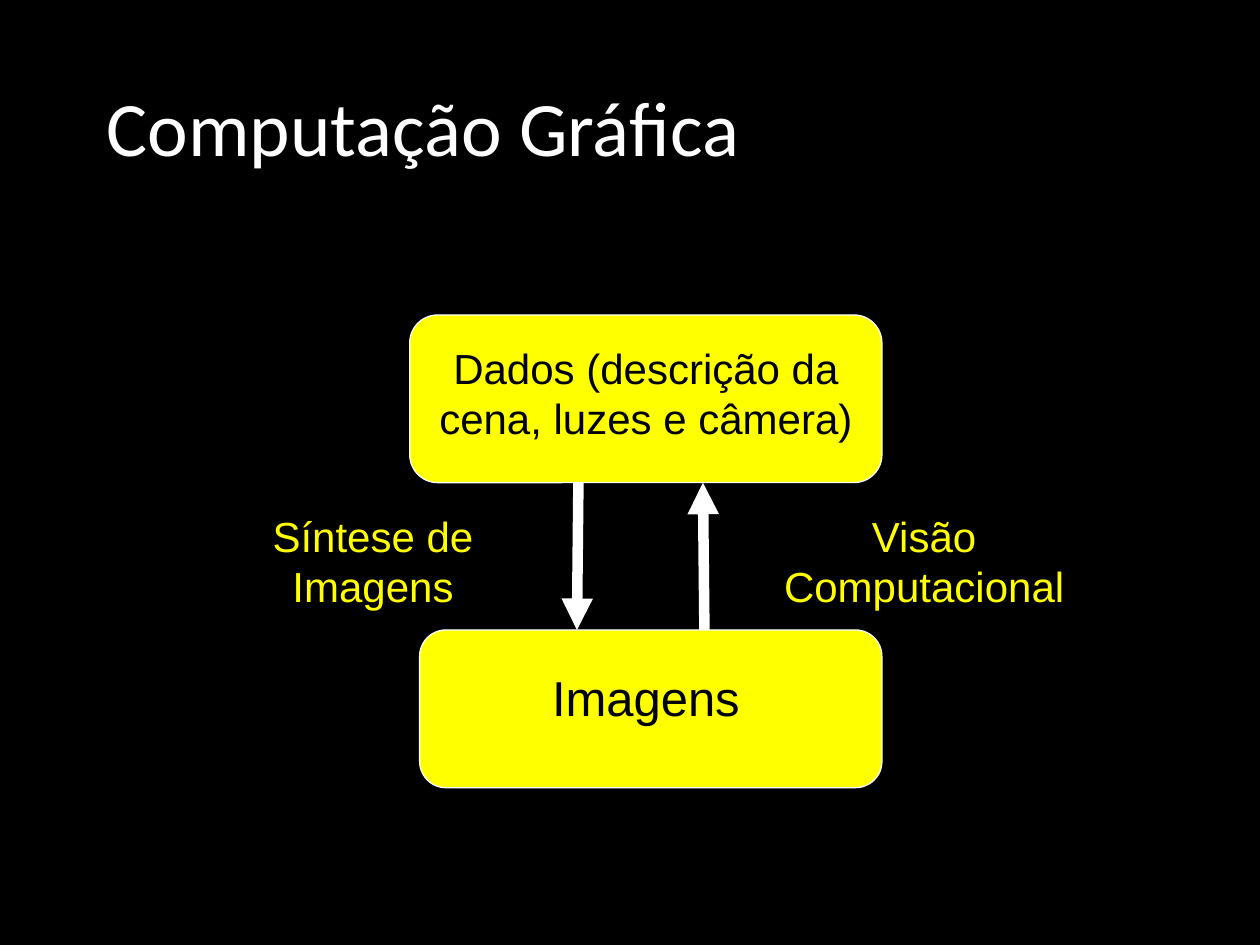
from dataclasses import dataclass

from lxml import etree
from pptx import Presentation
from pptx.dml.color import RGBColor
from pptx.enum.shapes import MSO_CONNECTOR, MSO_SHAPE
from pptx.enum.text import MSO_ANCHOR, PP_ALIGN
from pptx.oxml.ns import qn
from pptx.util import Cm, Pt

ROUNDED = MSO_SHAPE.ROUNDED_RECTANGLE
STRAIGHT = MSO_CONNECTOR.STRAIGHT
LEFT, CENTER = PP_ALIGN.LEFT, PP_ALIGN.CENTER
TOP, MIDDLE = MSO_ANCHOR.TOP, MSO_ANCHOR.MIDDLE


@dataclass(frozen=True)
class Theme:
    black: RGBColor = RGBColor(0, 0, 0)
    white: RGBColor = RGBColor(255, 255, 255)
    yellow: RGBColor = RGBColor(255, 255, 0)
    title_font: str = "Calibri"
    body_font: str = "Arial"
    title_size: int = 44
    large_size: int = 28
    body_size: int = 24
    outline: float = 0.75
    arrow: float = 6


class Diagram:
    """Draws titles, blocks, labels and arrows on one slide in one style."""

    def __init__(self, page, theme):
        self.page = page
        self.theme = theme
        page.background.fill.solid()
        page.background.fill.fore_color.rgb = theme.black

    def text(self, words, area, size, color, font, align=CENTER, anchor=TOP):
        box = self.page.shapes.add_textbox(*map(Cm, area))
        frame = box.text_frame
        frame.word_wrap = True
        frame.vertical_anchor = anchor
        para = frame.paragraphs[0]
        para.text = words
        para.alignment = align
        para.font.name = font
        para.font.size = Pt(size)
        para.font.color.rgb = color
        return para

    def title(self, words, area):
        theme = self.theme
        para = self.text(words, area, theme.title_size, theme.white,
                         theme.title_font, LEFT, MIDDLE)
        para.line_spacing = 0.9

    def label(self, words, area, color, size=None):
        theme = self.theme
        self.text(words, area, size or theme.body_size, color, theme.body_font)

    def block(self, area):
        shape = self.page.shapes.add_shape(ROUNDED, *map(Cm, area))
        shape.shadow.inherit = False
        shape.fill.solid()
        shape.fill.fore_color.rgb = self.theme.yellow
        shape.line.color.rgb = self.theme.white
        shape.line.width = Pt(self.theme.outline)

    def arrow(self, start, end):
        connector = self.page.shapes.add_connector(
            STRAIGHT, *map(Cm, (*start, *end)))
        connector.line.color.rgb = self.theme.white
        connector.line.width = Pt(self.theme.arrow)
        properties = connector.element.spPr
        etree.SubElement(properties.find(qn("a:ln")), qn("a:tailEnd"),
                         type="triangle")
        etree.SubElement(properties, qn("a:effectLst"))


def main():
    deck = Presentation()
    deck.slide_width, deck.slide_height = Cm(25.4), Cm(19.05)
    theme = Theme()
    diagram = Diagram(deck.slides.add_slide(deck.slide_layouts[6]), theme)

    left, width = 8.26, 9.52
    data_top, data_height = 6.35, 3.38
    data_bottom = data_top + data_height
    images_top = 12.7
    label_top, label_height = 10.16, 2.29

    diagram.title("Computação Gráfica", (1.9, 1.07, 21.59, 3.18))
    diagram.block((left, data_top, width, data_height))
    diagram.block((left + 0.2, images_top, width - 0.2, 3.18))
    diagram.label("Dados (descrição da cena, luzes e câmera)",
                  (left, 6.78, width, label_height), theme.black)
    diagram.label("Imagens", (left, 13.34, width, 1.45), theme.black,
                  theme.large_size)
    diagram.arrow((11.66, data_bottom), (11.63, images_top))
    diagram.arrow((14.2, images_top), (14.17, data_bottom))
    diagram.label("Síntese de\vImagens",
                  (3.81, label_top, 7.42, label_height), theme.yellow)
    diagram.label("Visão\vComputacional",
                  (15.24, label_top, 6.78, label_height), theme.yellow)
    deck.save("out.pptx")


main()
